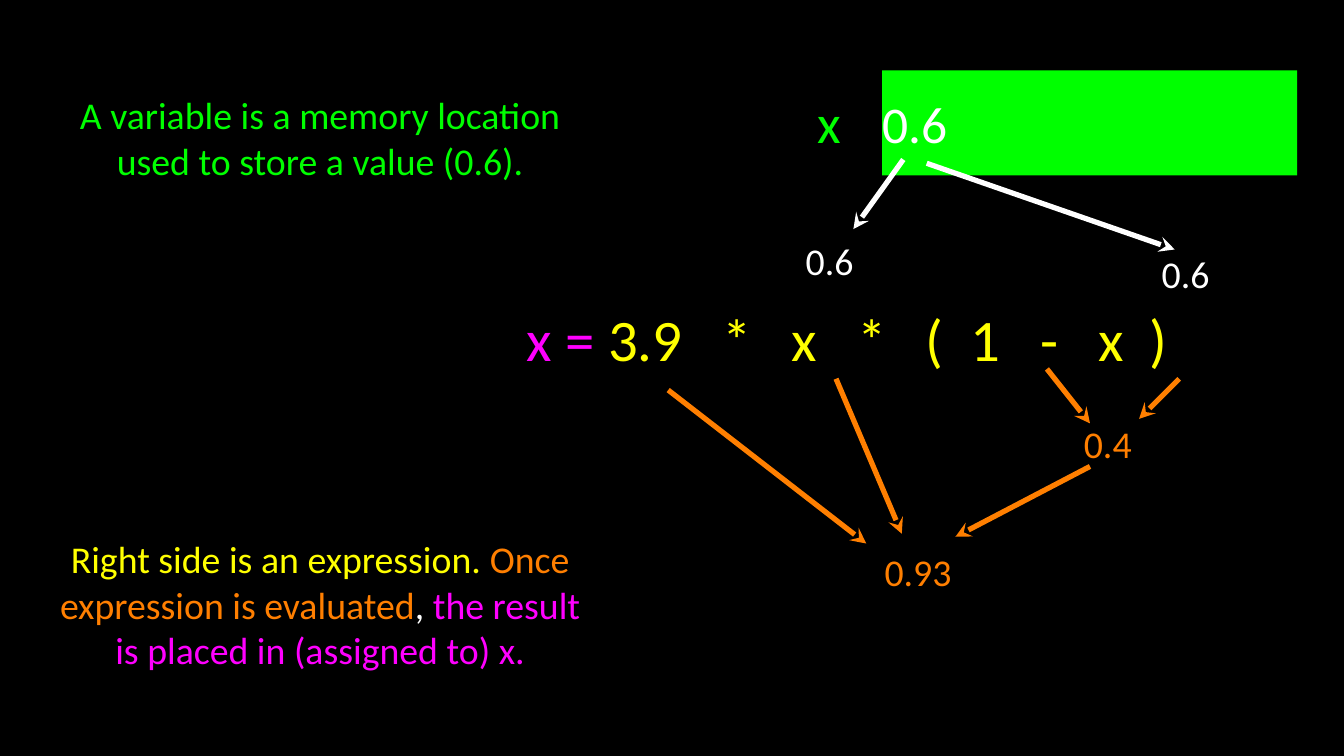
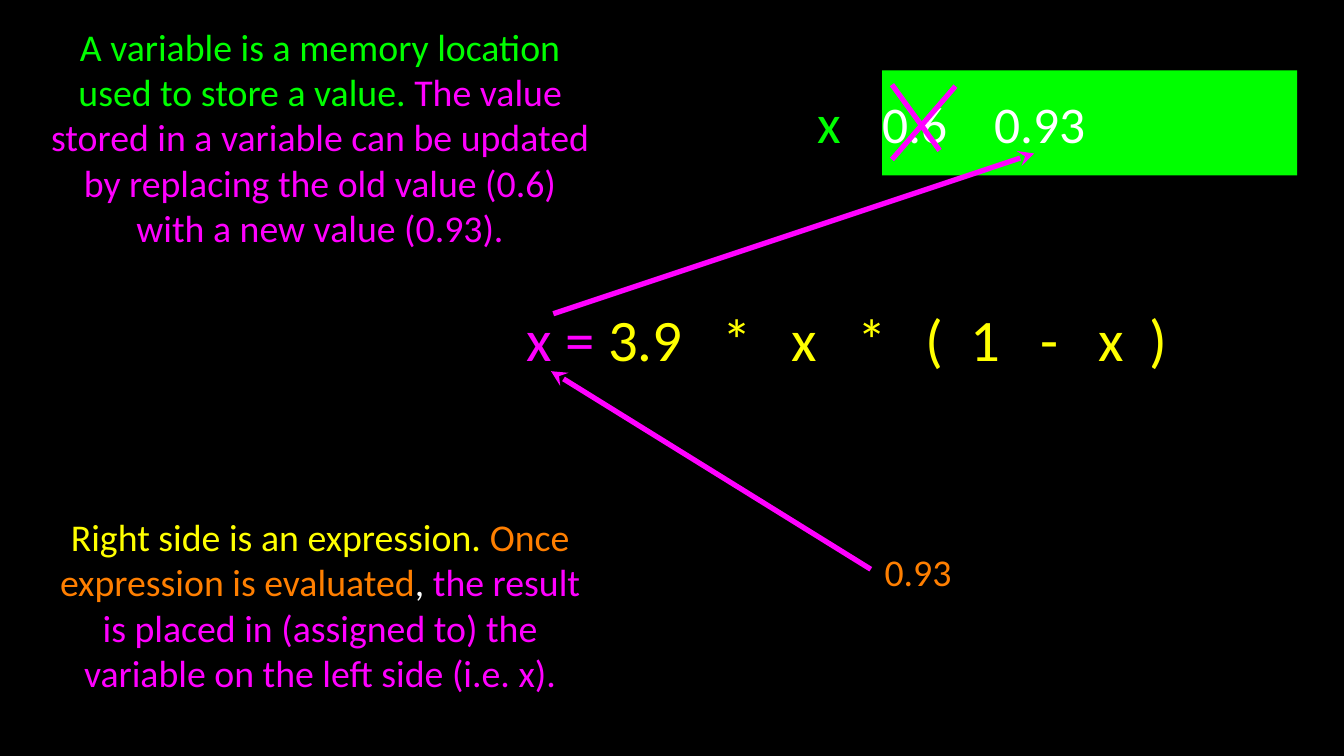
from dataclasses import dataclass

from lxml.etree import SubElement
from pptx import Presentation
from pptx.dml.color import RGBColor
from pptx.enum.shapes import MSO_CONNECTOR, MSO_SHAPE
from pptx.enum.text import MSO_ANCHOR, PP_ALIGN
from pptx.oxml.ns import qn
from pptx.util import Pt

EMU_PER_PX = 9144


@dataclass(frozen=True)
class Theme:
    font: str = "Calibri"
    background: str = "000000"
    value: str = "FFFFFF"
    memory: str = "00FF00"
    expression: str = "FFFF00"
    result: str = "FF7F00"
    assignment: str = "FF00FF"
    body_size: int = 36
    memory_size: int = 49
    name_size: int = 52
    equation_size: int = 56
    line_width: int = 5


def px(length):
    return length * EMU_PER_PX


class Deck:
    def __init__(self, theme):
        self.theme = theme
        self.presentation = Presentation()
        self.presentation.slide_width = px(1778)
        self.presentation.slide_height = px(1000)
        fill = self.presentation.slide_master.background.fill
        fill.solid()
        fill.fore_color.rgb = RGBColor.from_string(theme.background)
        self.slide = None

    def add_slide(self):
        self.slide = self.presentation.slides.add_slide(self.presentation.slide_layouts[6])

    def fill_text(self, shape, runs, size, alignment, tabs=(), wrap=True):
        frame = shape.text_frame
        frame.margin_left = frame.margin_right = frame.margin_top = frame.margin_bottom = 0
        frame.vertical_anchor = MSO_ANCHOR.MIDDLE
        frame.word_wrap = wrap
        paragraph = frame.paragraphs[0]
        paragraph.alignment = alignment
        if tabs:
            tab_list = SubElement(paragraph._p.get_or_add_pPr(), qn("a:tabLst"))
            for position in tabs:
                SubElement(tab_list, qn("a:tab"), pos=str(px(position)), algn="l")
        for text, color in runs:
            run = paragraph.add_run()
            run.text = text
            run.font.name = self.theme.font
            run.font.size = Pt(size)
            run.font.color.rgb = RGBColor.from_string(color)

    def text(self, box, runs, size, alignment=PP_ALIGN.CENTER, tabs=(), wrap=True):
        shape = self.slide.shapes.add_textbox(*map(px, box))
        self.fill_text(shape, runs, size, alignment, tabs, wrap)

    def explanation(self, top, height, runs):
        self.text((64, top, 719, height), runs, self.theme.body_size)

    def number(self, left, top, text, color, width=71):
        self.text((left, top, width, 60), [(text, color)], self.theme.body_size, wrap=False)

    def memory_cell(self, text):
        theme = self.theme
        shape = self.slide.shapes.add_shape(MSO_SHAPE.RECTANGLE, *map(px, (1167, 93, 549, 139)))
        shape.shadow.inherit = False
        shape.fill.solid()
        shape.fill.fore_color.rgb = RGBColor.from_string(theme.memory)
        shape.line.fill.background()
        self.fill_text(shape, [(text, theme.value)], theme.memory_size, PP_ALIGN.LEFT, [148])
        self.text((1078, 118, 38, 87), [("x", theme.memory)], theme.name_size, wrap=False)

    def equation(self):
        theme = self.theme
        runs = [("x = ", theme.assignment), ("3.9\t*\tx\t*\t(\t1\t-\tx\t)", theme.expression)]
        tabs = [259, 350, 437, 528, 587, 679, 756, 824]
        self.text((697, 401, 966, 93), runs, theme.equation_size, PP_ALIGN.LEFT, tabs)

    def line(self, start, end, color):
        connector = self.slide.shapes.add_connector(
            MSO_CONNECTOR.STRAIGHT, *map(px, start + end)
        )
        connector.line.color.rgb = RGBColor.from_string(color)
        connector.line.width = Pt(self.theme.line_width)
        SubElement(connector._element.spPr, qn("a:effectLst"))
        return connector

    def arrow(self, tip, origin, color):
        connector = self.line(tip, origin, color)
        outline = connector._element.spPr.find(qn("a:ln"))
        SubElement(outline, qn("a:headEnd"), type="stealth")

    def assignment_step(self, memory_text, top, height, result_text):
        theme = self.theme
        self.add_slide()
        self.equation()
        self.memory_cell(memory_text)
        self.explanation(top, height, [
            ("Right side is an expression. ", theme.expression),
            ("Once expression is evaluated", theme.result),
            (", ", theme.value),
            (result_text, theme.assignment),
        ])
        self.number(1165, 726, "0.93", theme.result, width=99)


def build_evaluation(deck):
    theme = deck.theme
    deck.assignment_step("0.6", 708, 182, "the result is placed in (assigned to) x.")
    deck.number(1062, 315, "0.6", theme.value)
    deck.number(1533, 332, "0.6", theme.value)
    deck.number(1430, 557, "0.4", theme.result)
    for tip, origin, color in [
        ((1129, 303), (1195, 211), theme.value),
        ((1554, 330), (1226, 216), theme.value),
        ((1146, 719), (884, 516), theme.result),
        ((1193, 706), (1106, 501), theme.result),
        ((1264, 710), (1442, 617), theme.result),
        ((1507, 554), (1560, 501), theme.result),
        ((1442, 560), (1385, 488), theme.result),
    ]:
        deck.arrow(tip, origin, color)
    deck.explanation(119, 125, [
        ("A variable is a memory location used to store a value (0.6).", theme.memory),
    ])


def build_update(deck):
    theme = deck.theme
    deck.assignment_step(
        "0.6\t0.93", 680, 239,
        "the result is placed in (assigned to) the variable on the left side (i.e. x).",
    )
    deck.explanation(33, 296, [
        ("A variable is a memory location used to store a value. ", theme.memory),
        ("The value stored in a variable can be updated by replacing "
         "the old value (0.6) with a new value (0.93).", theme.assignment),
    ])
    deck.arrow((729, 491), (1152, 753), theme.assignment)
    deck.arrow((1368, 203), (732, 415), theme.assignment)
    deck.line((1264, 114), (1180, 211), theme.assignment)
    deck.line((1180, 112), (1243, 199), theme.assignment)


def main():
    deck = Deck(Theme())
    build_evaluation(deck)
    build_update(deck)
    deck.presentation.save("out.pptx")


if __name__ == "__main__":
    main()
